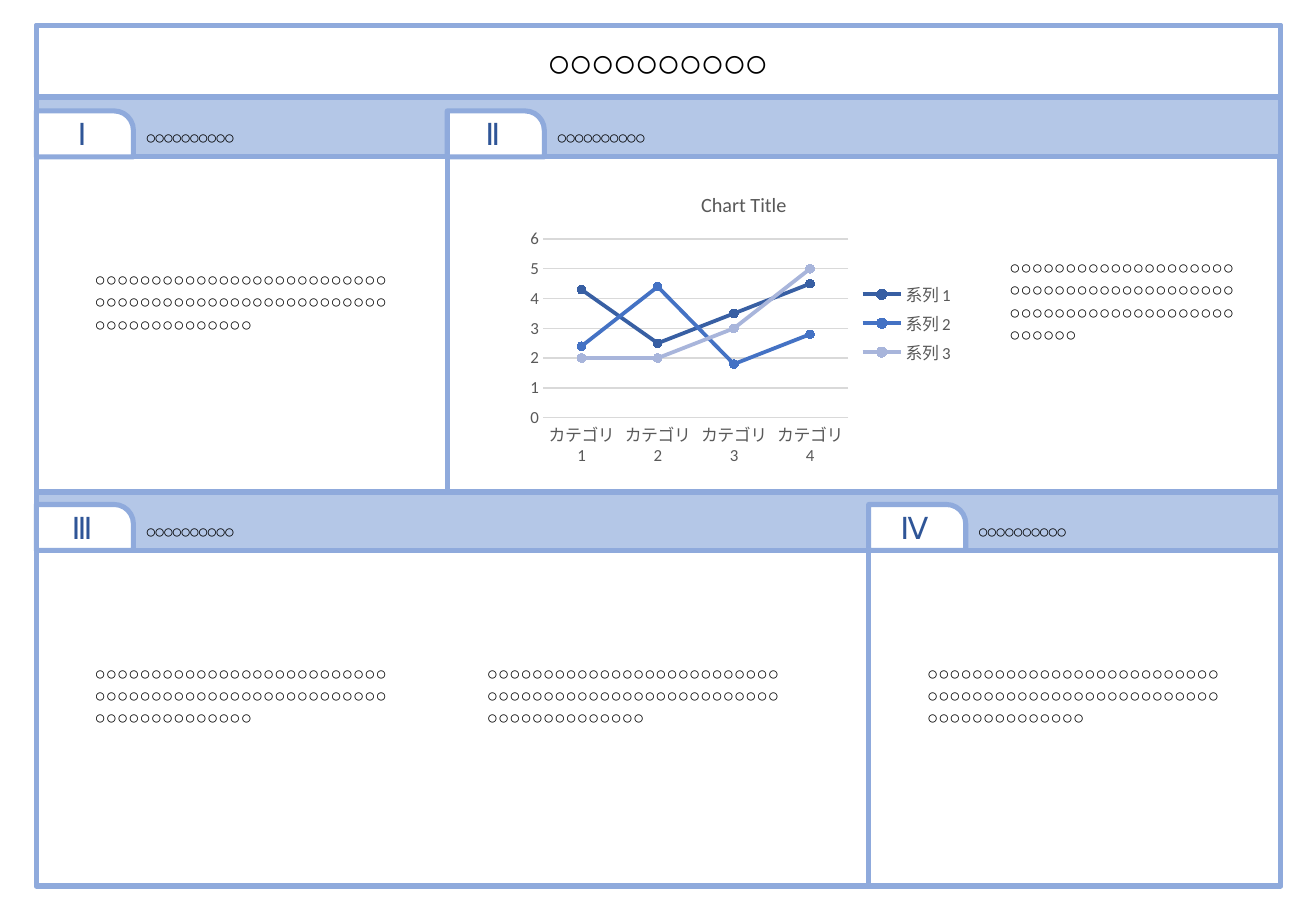
from lxml import etree
from pptx import Presentation
from pptx import util as u
from pptx.chart import data
from pptx.dml.color import RGBColor
from pptx.enum import chart as charts, shapes, text
from pptx.oxml.ns import qn

COLORS = {
    "band": "B4C7E7", "border": "8FAADC", "panel": "FFFFFF", "numeral": "2F5597",
    "text": "000000", "chart text": "595959", "grid": "D9D9D9",
}
SERIES = [
    ("系列 1", (4.3, 2.5, 3.5, 4.5), "385FA3"),
    ("系列 2", (2.4, 4.4, 1.8, 2.8), "4472C4"),
    ("系列 3", (2, 2, 3, 5), "A8B5DB"),
]
HEADING = "○" * 10
BODY = "○" * 66

LEFT, WIDTH = 0.76, 26.01
WIDE, NARROW, PANEL_HEIGHT = 17.4, 8.61, 7.01
ROW_1, ROW_2 = 3.28, 11.51
TAB_WIDTH, TAB_HEIGHT = 2.03, 0.96

# Body boxes: left and top offsets within the panel, width, height
NARROW_BODY = (0.97, 2.2, 6.68, 2.62)
PANELS = [
    ("Ⅰ", LEFT, ROW_1, NARROW, [NARROW_BODY]),
    ("Ⅱ", LEFT + NARROW - 0.02, ROW_1, WIDE, [(11.5, 1.95, 5.23, 3.07)]),
    ("Ⅲ", LEFT, ROW_2, WIDE, [NARROW_BODY, (9.17, 2.2, 6.68, 2.62)]),
    ("Ⅳ", LEFT + WIDE, ROW_2, NARROW, [NARROW_BODY]),
]


def add_framed(kind, left, top, width, height, fill):
    shape = slide.shapes.add_shape(kind, u.Cm(left), u.Cm(top), u.Cm(width), u.Cm(height))
    shape.shadow.inherit = False
    shape.fill.solid()
    shape.fill.fore_color.rgb = RGBColor.from_string(COLORS[fill])
    shape.line.color.rgb = RGBColor.from_string(COLORS["border"])
    shape.line.width = u.Pt(3)
    return shape


def write(shape, content, size, color="text", align=text.PP_ALIGN.LEFT, spacing=0):
    """Fill the shape with one Arial paragraph; spacing is in hundredths of a point."""
    shape.text_frame.word_wrap = True
    paragraph = shape.text_frame.paragraphs[0]
    paragraph.alignment = align
    run = paragraph.add_run()
    run.text = content
    run.font.size = u.Pt(size)
    run.font.name = "Arial"
    run.font.color.rgb = RGBColor.from_string(COLORS[color])
    properties = run._r.get_or_add_rPr()
    etree.SubElement(properties, qn("a:ea"), typeface="Arial")
    if spacing:
        properties.set("spc", str(spacing))
    return run


presentation = Presentation()
presentation.slide_width, presentation.slide_height = u.Cm(27.51), u.Cm(19.05)
slide = presentation.slides.add_slide(presentation.slide_layouts[5])

# Backdrop and title banner
rectangle = shapes.MSO_SHAPE.RECTANGLE
add_framed(rectangle, LEFT, 0.53, WIDTH, 18, "band")
add_framed(rectangle, LEFT, 0.53, WIDTH, 1.5, "panel")
title = slide.shapes.title
title.left, title.top, title.width, title.height = u.Cm(6.83), u.Cm(0.64), u.Cm(13.84), u.Cm(1.27)
title.text_frame.vertical_anchor = text.MSO_ANCHOR.MIDDLE
title.text_frame.auto_size = text.MSO_AUTO_SIZE.NONE
write(title, HEADING, 24, align=text.PP_ALIGN.CENTER, spacing=-150).font.bold = True
slide.shapes._spTree.append(title._element)  # bring in front of the banner

# Panels with numbered tabs, headings and body text
for numeral, left, top, width, bodies in PANELS:
    add_framed(rectangle, left, top, width, PANEL_HEIGHT, "panel")
    tab = add_framed(shapes.MSO_SHAPE.ROUND_1_RECTANGLE, left, top - TAB_HEIGHT,
                     TAB_WIDTH, TAB_HEIGHT, "panel")
    tab.adjustments[0] = 0.42
    tab.text_frame.vertical_anchor = text.MSO_ANCHOR.MIDDLE
    write(tab, numeral, 18, "numeral", text.PP_ALIGN.CENTER)
    heading = slide.shapes.add_textbox(u.Cm(left + TAB_WIDTH), u.Cm(top - 0.76),
                                       u.Cm(5.28), u.Cm(0.74))
    write(heading, HEADING, 11, spacing=-150)
    for offset_x, offset_y, body_width, body_height in bodies:
        body = slide.shapes.add_textbox(u.Cm(left + offset_x), u.Cm(top + offset_y),
                                        u.Cm(body_width), u.Cm(body_height))
        write(body, BODY, 11, align=text.PP_ALIGN.JUSTIFY)

# Line chart in panel Ⅱ
chart_data = data.CategoryChartData()
chart_data.categories = [f"カテゴリ {number}" for number in range(1, 5)]
for name, values, color in SERIES:
    chart_data.add_series(name, values)
chart = slide.shapes.add_chart(charts.XL_CHART_TYPE.LINE_MARKERS, u.Cm(10.9), u.Cm(3.66),
                               u.Cm(9.3), u.Cm(6.2), chart_data).chart
chart.font.size = u.Pt(10)
chart.font.name = "Calibri"
chart.font.color.rgb = RGBColor.from_string(COLORS["chart text"])

chart.has_title = True
chart.chart_title.include_in_layout = False
chart.chart_title.text_frame.text = "Chart Title"
title_font = chart.chart_title.text_frame.paragraphs[0].font
title_font.size = u.Pt(12)
title_font.bold = False
title_font.name = "Calibri"
title_font.color.rgb = RGBColor.from_string(COLORS["chart text"])

chart.has_legend = True
chart.legend.position = charts.XL_LEGEND_POSITION.RIGHT
chart.legend.include_in_layout = False

for axis in (chart.category_axis, chart.value_axis):
    axis.major_tick_mark = charts.XL_TICK_MARK.NONE
    axis.minor_tick_mark = charts.XL_TICK_MARK.NONE
chart.value_axis.minimum_scale, chart.value_axis.maximum_scale = 0, 6
chart.value_axis.major_unit = 1
chart.value_axis.tick_labels.number_format = "General"
chart.value_axis.tick_labels.number_format_is_linked = False
chart.value_axis.format.line.fill.background()
for line in (chart.category_axis.format.line, chart.value_axis.major_gridlines.format.line):
    line.color.rgb = RGBColor.from_string(COLORS["grid"])
    line.width = u.Pt(0.75)

chart.plots[0].vary_by_categories = False
for series, (name, values, color) in zip(chart.plots[0].series, SERIES):
    series.smooth = False
    series.format.line.color.rgb = RGBColor.from_string(color)
    series.format.line.width = u.Pt(2.25)
    series.marker.style = charts.XL_MARKER_STYLE.CIRCLE
    series.marker.size = 5
    series.marker.format.fill.solid()
    series.marker.format.fill.fore_color.rgb = RGBColor.from_string(color)
    series.marker.format.line.color.rgb = RGBColor.from_string(color)

presentation.save("out.pptx")
